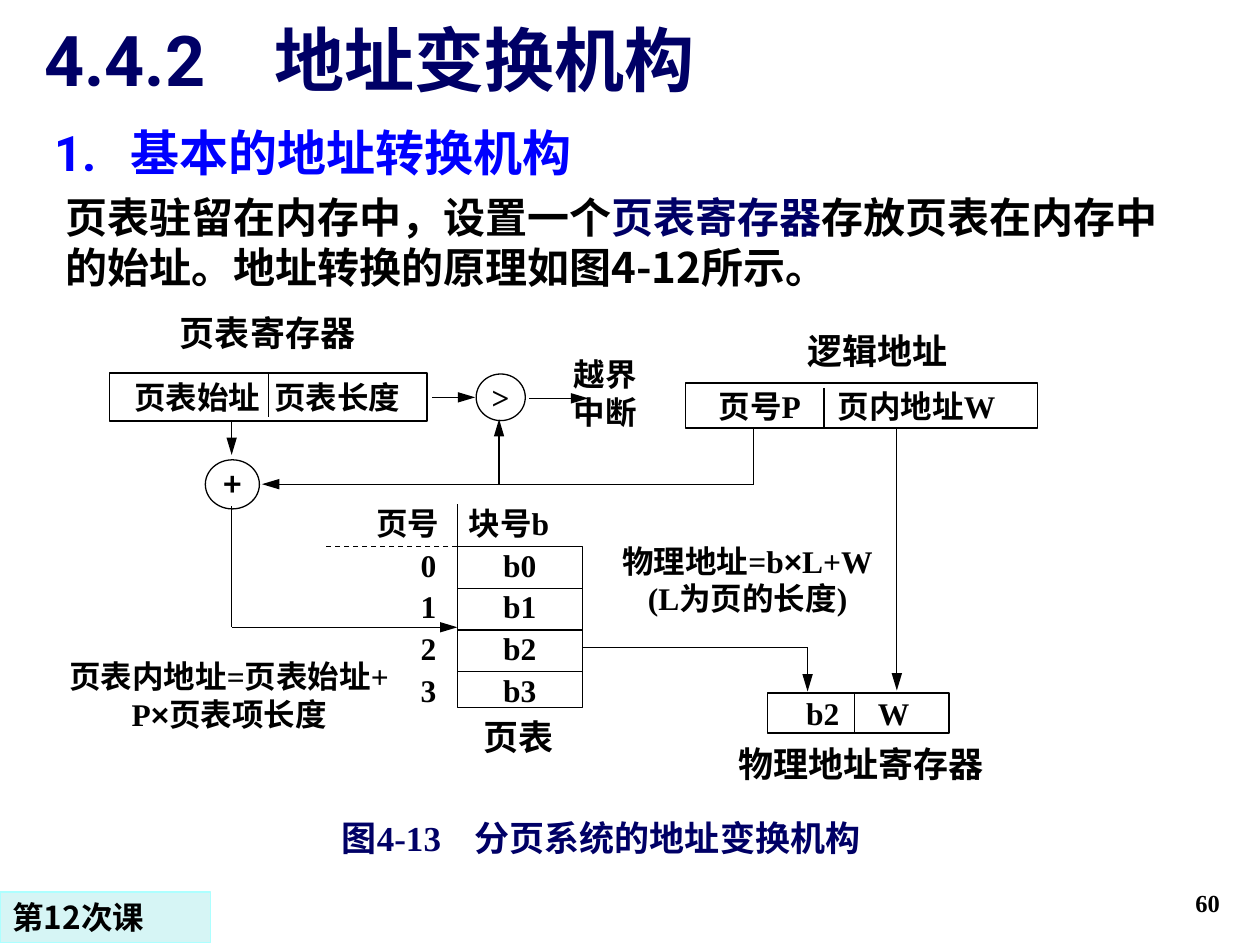
from pptx import Presentation, util as u
from pptx.dml.color import RGBColor
from pptx.enum import dml, shapes, text
from pptx.oxml.ns import qn
from lxml import etree

HUES = {"ink": "000000", "navy": "000066", "blue": "0000FF",
        "white": "FFFFFF", "mint": "D6F5F5", "aqua": "ADFFFF"}
TIMES, ROBO, NOTO = "Times New Roman", "Roboto", "Noto Sans CJK SC"
MID, LOW = text.MSO_ANCHOR.MIDDLE, text.MSO_ANCHOR.BOTTOM
LEFT, MIDST, RIGHT = text.PP_ALIGN.LEFT, text.PP_ALIGN.CENTER, text.PP_ALIGN.RIGHT
RECT, OVAL = shapes.MSO_SHAPE.RECTANGLE, shapes.MSO_SHAPE.OVAL

PAD = (0.25, 0.13, 0.25, 0.13)
SLIM = (0.05, 0.02, 0.05, 0.02)
TIGHT = (0.15, 0.02, 0.15, 0.02)
LABEL = dict(font=ROBO, size=20, pad=TIGHT)
RING = dict(kind=OVAL, line="ink", anchor=MID, pad=(0.15, 0, 0.15, 0))
NOTE = dict(kind=RECT, fill="white", pad=(0, 0.02, 0, 0.02))


def cells(start, tab):
    return dict(kind=RECT, line="ink", anchor=MID, align=LEFT,
                pad=(start, 0.02, 0, 0.02), tab=tab)


TOP, STEP, SIDE, WIDE = 11.02, 0.84, 9.22, 2.52
BOXES = {
    "page": ((19.56, 17.35, 5.28, 1.27), ["60"],
             dict(size=14, align=RIGHT, anchor=LOW)),
    "title": ((0.64, 0.43, 17.07, 1.73), [["4.4.2\t", ("地址变换机构", "navy", NOTO)]],
              dict(font=ROBO, size=40, hue="navy", align=LEFT, anchor=LOW, tab=4.65)),
    "body": ((1.07, 3.73, 22.86, 2.29),
             [["页表驻留在内存中，设置一个", ("页表寄存器", "navy", NOTO),
               "存放页表在内存中的始址。地址转换的原理如图4-12所示。"]],
             dict(font=NOTO, size=24, align=LEFT)),
    "head": ((0.84, 2.34, 18.75, 1.45), ["1.\t基本的地址转换机构"],
             dict(font=ROBO, size=28, hue="blue", align=LEFT, tab=1.55)),
    "caption": ((5.41, 16.33, 13.44, 1.12), ["图4-13\t分页系统的地址变换机构"],
                dict(kind=RECT, fill="white", size=20, hue="navy", align=LEFT,
                     pad=(1.48, 0.13, 0, 0.13), tab=2.68)),
    "register": ((2.21, 7.52, 6.4, 0.97), ["页表始址\t页表长度"],
                 dict(cells(0.5, 2.82), font=ROBO)),
    "logical": ((13.82, 7.72, 7.09, 0.91), ["页号P\t页内地址W"], cells(0.67, 2.4)),
    "compare": ((9.6, 7.54, 0.99, 0.94), [">"], RING),
    "plus": ((4.14, 9.27, 1.09, 0.99), ["+"], dict(RING, font=NOTO)),
    "trap": ((11.48, 7.14, 1.45, 1.42), ["越界中断"], dict(font=ROBO, pad=SLIM)),
    "regname": ((2.59, 6.27, 5.61, 1.14), ["页表寄存器"], LABEL),
    "logname": ((15.7, 6.63, 3.99, 0.91), ["逻辑地址"], LABEL),
    "table": ((SIDE, TOP, WIDE, 3.25), ["b0", "b1", "b2", "b3"],
              dict(kind=RECT, fill="white", line="ink", anchor=MID, gap=2.2)),
    "columns": ((7.21, 10.03, 4.39, 0.91), ["页号\t块号b"],
                dict(align=LEFT, pad=(0.38, 0.13, 0, 0.13), tab=1.86)),
    "physical": ((15.47, 13.97, 3.66, 0.81), ["b2\tW"],
                 dict(cells(0.78, 1.45), fill="white")),
    "tabname": ((9.07, 14.4, 2.77, 0.89), ["页表"], LABEL),
    "physname": ((14.61, 14.83, 5.51, 1.19), ["物理地址寄存器"], dict(LABEL, pad=PAD)),
    "index": ((8.23, 10.87, 0.94, 3.45), ["0", "1", "2", "3"], dict(align=LEFT, gap=2.2)),
    "sum": ((12.34, 10.9, 5.46, 1.73),
            [["物理地址=b", ("×", "ink", "Arial"), "L+W"], "(L为页的长度)"], NOTE),
    "entry": ((0.99, 13.23, 7.26, 1.73),
              ["页表内地址=页表始址+", ["P", ("×", "ink", "Arial"), "页表项长度"]], NOTE),
    "lesson": ((0, 17.98, 4.24, 1.02), ["第12次课"],
               dict(kind=RECT, fill="mint", line="aqua", font=NOTO, align=LEFT)),
}

BUS, HALF = 9.76, TOP + 3.25 / 2
PLAIN = [
    (5.41, 7.54, 5.41, 8.41), (16.61, 7.82, 16.61, 8.63),
    (17.22, 13.97, 17.22, 14.78), (15.19, 8.63, 15.19, BUS),
    (SIDE, TOP, SIDE, 10.16), (4.67, 10.21, 4.67, HALF),
    (SIDE + WIDE, 13.05, 16.28, 13.05),
] + [(SIDE, TOP + STEP * i, SIDE + WIDE, TOP + STEP * i) for i in (1, 2, 3)]
ARROWS = [
    (4.67, 8.51, 4.67, 9.17), (15.19, BUS, 5.28, BUS), (10.06, BUS, 10.06, 8.45),
    (8.71, 8.01, 9.58, 8.01), (10.67, 8.03, 11.86, 8.03),
    (16.28, 13.05, 16.28, 13.94), (18.08, 8.61, 18.08, 13.92),
]
LOOKUP = (4.67, HALF, SIDE, HALF)
DASHED = (SIDE, TOP, 6.58, TOP)


def rgb(hue):
    return RGBColor.from_string(HUES[hue])


def put(slide, area, paras, kind=None, fill=None, line=None, font=TIMES, size=18,
        hue="ink", align=MIDST, anchor=text.MSO_ANCHOR.TOP, pad=PAD, tab=None, gap=0):
    area = [u.Cm(n) for n in area]
    if kind is None:
        shape = slide.shapes.add_textbox(*area)
    else:
        shape = slide.shapes.add_shape(kind, *area)
        shape.shadow.inherit = False
        if fill:
            shape.fill.solid()
            shape.fill.fore_color.rgb = rgb(fill)
        else:
            shape.fill.background()
        if line:
            shape.line.color.rgb = rgb(line)
            shape.line.width = u.Pt(0.75)
        else:
            shape.line.fill.background()
    frame = shape.text_frame
    frame.word_wrap = True
    frame.vertical_anchor = anchor
    (frame.margin_left, frame.margin_top,
     frame.margin_right, frame.margin_bottom) = [u.Cm(n) for n in pad]
    for i, runs in enumerate(paras):
        para = frame.add_paragraph() if i else frame.paragraphs[0]
        para.alignment = align
        if i and gap:
            para.space_before = u.Pt(gap)
        if tab:
            stops = etree.SubElement(para._p.get_or_add_pPr(), qn("a:tabLst"))
            etree.SubElement(stops, qn("a:tab"), pos=str(u.Cm(tab)), algn="l")
        for part in [runs] if isinstance(runs, str) else runs:
            words, tint, face = (part, hue, font) if isinstance(part, str) else part
            run = para.add_run()
            run.text = words
            run.font.size, run.font.bold, run.font.name = u.Pt(size), True, face
            run.font.color.rgb = rgb(tint)
            etree.SubElement(run._r.get_or_add_rPr(), qn("a:ea"), typeface=NOTO)
    return shape


def link(slide, ends, arrow=False, dash=False):
    wire = slide.shapes.add_connector(shapes.MSO_CONNECTOR.STRAIGHT, *[u.Cm(n) for n in ends])
    wire.line.color.rgb = rgb("ink")
    wire.line.width = u.Pt(0.75)
    if dash:
        wire.line.dash_style = dml.MSO_LINE.DASH
    if arrow:
        etree.SubElement(wire.line._get_or_add_ln(), qn("a:tailEnd"),
                         type="triangle", w="med", len="lg")
    etree.SubElement(wire._element.spPr, qn("a:effectLst"))
    return wire


def main():
    deck = Presentation()
    deck.slide_width, deck.slide_height = u.Cm(25.4), u.Cm(19.05)
    slide = deck.slides.add_slide(deck.slide_layouts[6])
    made = {name: put(slide, area, paras, **style)
            for name, (area, paras, style) in BOXES.items()}
    for ends in PLAIN:
        link(slide, ends)
    for ends in ARROWS:
        link(slide, ends, arrow=True)
    link(slide, DASHED, dash=True)
    link(slide, LOOKUP, arrow=True).end_connect(made["table"], 1)
    deck.save("out.pptx")


if __name__ == "__main__":
    main()
